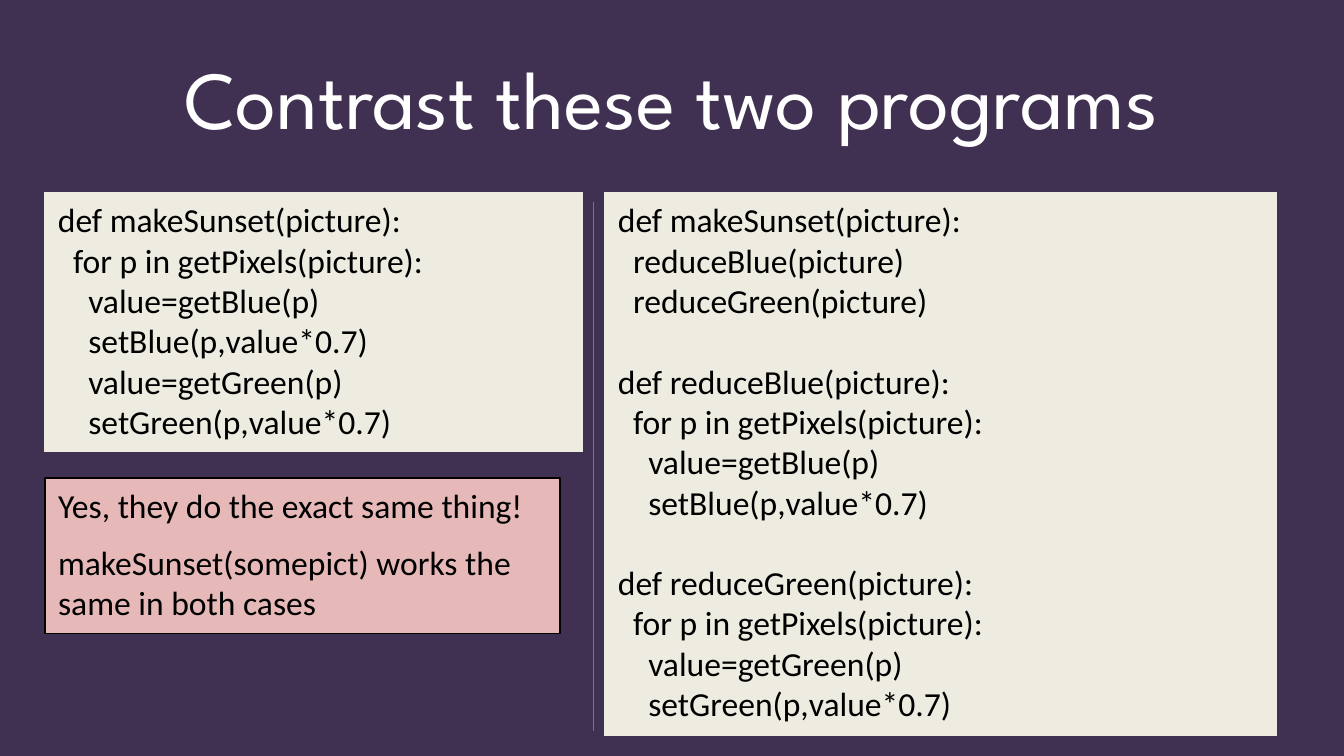
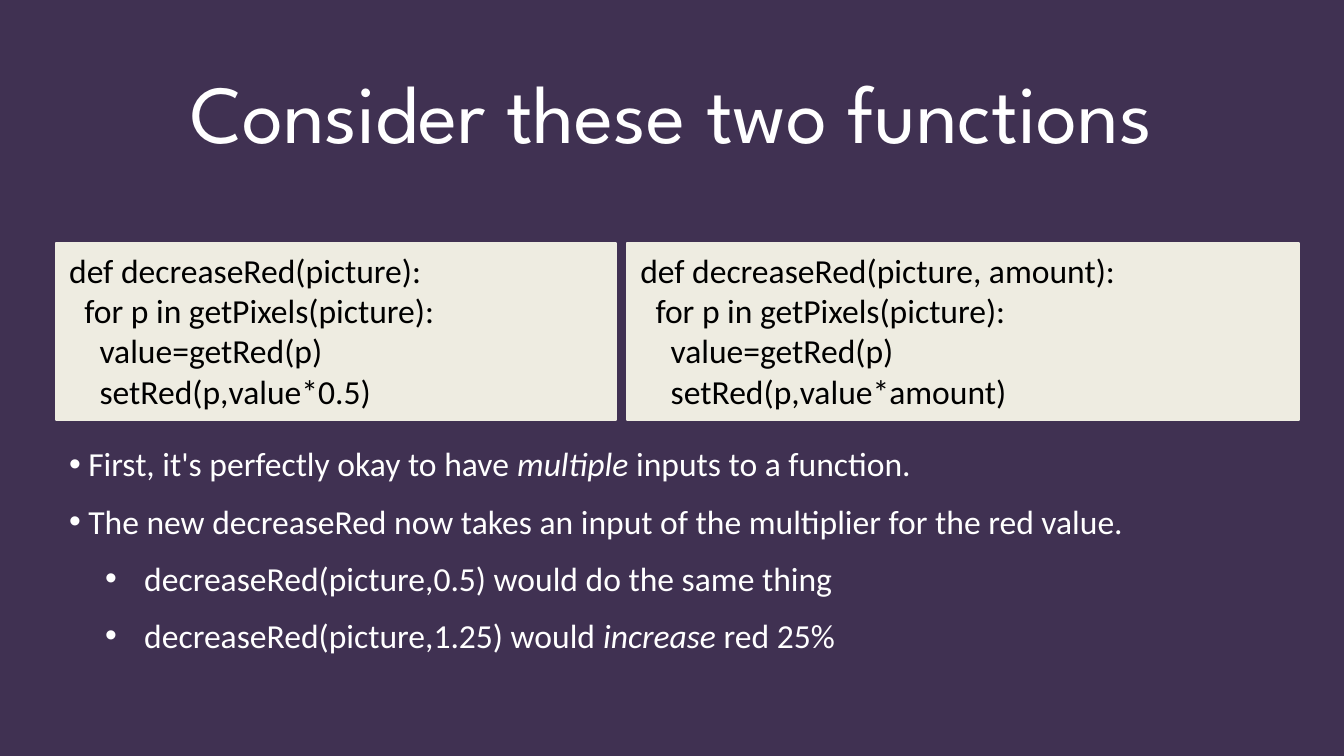
from dataclasses import dataclass

from lxml.etree import SubElement
from pptx import Presentation
from pptx.dml.color import RGBColor
from pptx.enum.shapes import MSO_CONNECTOR, MSO_SHAPE
from pptx.enum.text import MSO_ANCHOR, PP_ALIGN
from pptx.oxml.ns import qn
from pptx.util import Pt

PX = 914400 // 120


@dataclass(frozen=True)
class Theme:
    """Colours, fonts and type sizes shared by the slides."""
    background: str = "403152"
    panel: str = "EEECE1"
    answer: str = "E6B9B8"
    divider: str = "4B7EBC"
    light: str = "FFFFFF"
    dark: str = "000000"
    title_font: str = "League Spartan"
    body_font: str = "Calibri"
    title_size: float = 44
    body_size: float = 18
    code_gap: float = 21.6
    paragraph_gap: float = 9
    outline: float = 0.75


THEME = Theme()
TITLE_FONT = {"name": THEME.title_font, "size": Pt(THEME.title_size)}
BODY_FONT = {"name": THEME.body_font, "size": Pt(THEME.body_size)}
TOP_FRAME = {"word_wrap": True, "vertical_anchor": MSO_ANCHOR.TOP}
TITLE_FRAME = {"word_wrap": True, "vertical_anchor": MSO_ANCHOR.MIDDLE}
BULLET_INDENTS = [(17, -17), (67, -35)]

SUNSET_DIRECT = """def makeSunset(picture):
  for p in getPixels(picture):
    value=getBlue(p)
    setBlue(p,value*0.7)
    value=getGreen(p)
    setGreen(p,value*0.7)"""

SUNSET_SPLIT = """def makeSunset(picture):
  reduceBlue(picture)
  reduceGreen(picture)

def reduceBlue(picture):
  for p in getPixels(picture):
    value=getBlue(p)
    setBlue(p,value*0.7)

def reduceGreen(picture):
  for p in getPixels(picture):
    value=getGreen(p)
    setGreen(p,value*0.7)"""

RED_FIXED = """def decreaseRed(picture):
  for p in getPixels(picture):
    value=getRed(p)
    setRed(p,value*0.5)"""

RED_AMOUNT = """def decreaseRed(picture, amount):
  for p in getPixels(picture):
    value=getRed(p)
    setRed(p,value*amount)"""

ANSWER = [
    "Yes, they do the exact same thing!",
    "makeSunset(somepict) works the same in both cases",
]

REMARKS = [
    (0, ["First, it's perfectly okay to have ", "multiple", " inputs to a function."]),
    (0, ["The new decreaseRed now takes an input of the multiplier for the red value."]),
    (1, ["decreaseRed(picture,0.5) would do the same thing"]),
    (1, ["decreaseRed(picture,1.25) would ", "increase", " red 25%"]),
]


def px(*lengths):
    """Turn pixel lengths into EMU."""
    return [length * PX for length in lengths]


def apply_format(target, values):
    """Set each named attribute on the target."""
    for name, value in values.items():
        setattr(target, name, value)


def write_paragraph(frame, index, parts, font, color, layout, bullet_level=None):
    """Write one paragraph whose every second part is italic."""
    paragraph = frame.add_paragraph() if index else frame.paragraphs[0]
    apply_format(paragraph, {"alignment": PP_ALIGN.LEFT, **layout})
    if bullet_level is not None:
        add_bullet(paragraph, bullet_level)
    for position, part in enumerate(parts):
        run = paragraph.add_run()
        run.text = part
        apply_format(run.font, {**font, "italic": position % 2 == 1})
        run.font.color.rgb = RGBColor.from_string(color)


def add_bullet(paragraph, level):
    """Give a paragraph a round bullet and the hanging indent of its level."""
    properties = paragraph._p.get_or_add_pPr()
    for name, length in zip(("marL", "indent"), px(*BULLET_INDENTS[level])):
        properties.set(name, str(length))
    SubElement(properties, qn("a:buFont")).set("typeface", "Arial")
    SubElement(properties, qn("a:buChar")).set("char", "•")


def gap_before(index, gap):
    """Space before a paragraph, none for the first in its box."""
    return {"space_before": Pt(gap if index else 0)}


def add_titled_slide(deck, title, top):
    """Add a blank slide with the shared background and title style."""
    slide = deck.slides.add_slide(deck.slide_layouts[6])
    slide.background.fill.solid()
    slide.background.fill.fore_color.rgb = RGBColor.from_string(THEME.background)
    frame = slide.shapes.add_textbox(*px(60, top, 1080, 113)).text_frame
    apply_format(frame, TITLE_FRAME)
    write_paragraph(frame, 0, [title], TITLE_FONT, THEME.light,
                    {"alignment": PP_ALIGN.CENTER})
    return slide


def add_panel(slide, bounds, fill, outline):
    """Add a filled rectangle and return its text frame."""
    panel = slide.shapes.add_shape(MSO_SHAPE.RECTANGLE, *px(*bounds))
    panel.shadow.inherit = False
    panel.fill.solid()
    panel.fill.fore_color.rgb = RGBColor.from_string(fill)
    panel.line.color.rgb = RGBColor.from_string(outline)
    panel.line.width = Pt(THEME.outline)
    apply_format(panel.text_frame, TOP_FRAME)
    return panel.text_frame


def add_code(slide, bounds, code):
    """Add a code panel with a line of space between functions."""
    frame = add_panel(slide, bounds, THEME.panel, THEME.panel)
    index = 0
    for function in code.split("\n\n"):
        for row, line in enumerate(function.split("\n")):
            gap = 0 if row else THEME.code_gap
            write_paragraph(frame, index, [line], BODY_FONT, THEME.dark,
                            gap_before(index, gap))
            index += 1


def add_answer(slide, bounds, sentences):
    """Add the outlined answer panel."""
    frame = add_panel(slide, bounds, THEME.answer, THEME.dark)
    for index, sentence in enumerate(sentences):
        write_paragraph(frame, index, [sentence], BODY_FONT, THEME.dark,
                        gap_before(index, THEME.paragraph_gap))


def add_remarks(slide, bounds, remarks):
    """Add the bulleted remarks."""
    frame = slide.shapes.add_textbox(*px(*bounds)).text_frame
    apply_format(frame, TOP_FRAME)
    for index, (level, parts) in enumerate(remarks):
        layout = {"level": level, **gap_before(index, THEME.paragraph_gap)}
        write_paragraph(frame, index, parts, BODY_FONT, THEME.light, layout, level)


def add_divider(slide, x, top, bottom):
    """Add the thin vertical rule between the programs."""
    divider = slide.shapes.add_connector(MSO_CONNECTOR.STRAIGHT, *px(x, top, x, bottom))
    divider.line.color.rgb = RGBColor.from_string(THEME.divider)
    divider.line.width = Pt(THEME.outline)
    SubElement(divider._element.spPr, qn("a:effectLst"))


def main():
    """Build both slides and save the deck."""
    deck = Presentation()
    apply_format(deck, dict(zip(("slide_width", "slide_height"), px(1200, 675))))

    contrast = add_titled_slide(deck, "Contrast these two programs", 30)
    add_code(contrast, (40, 172, 480, 231), SUNSET_DIRECT)
    add_code(contrast, (540, 172, 600, 485), SUNSET_SPLIT)
    add_answer(contrast, (40, 427, 460, 139), ANSWER)
    add_divider(contrast, 530, 180, 653)

    functions = add_titled_slide(deck, "Consider these two functions", 42)
    add_code(functions, (50, 217, 500, 158), RED_FIXED)
    add_code(functions, (560, 217, 600, 158), RED_AMOUNT)
    add_remarks(functions, (50, 390, 1110, 212), REMARKS)

    deck.save("out.pptx")


if __name__ == "__main__":
    main()
